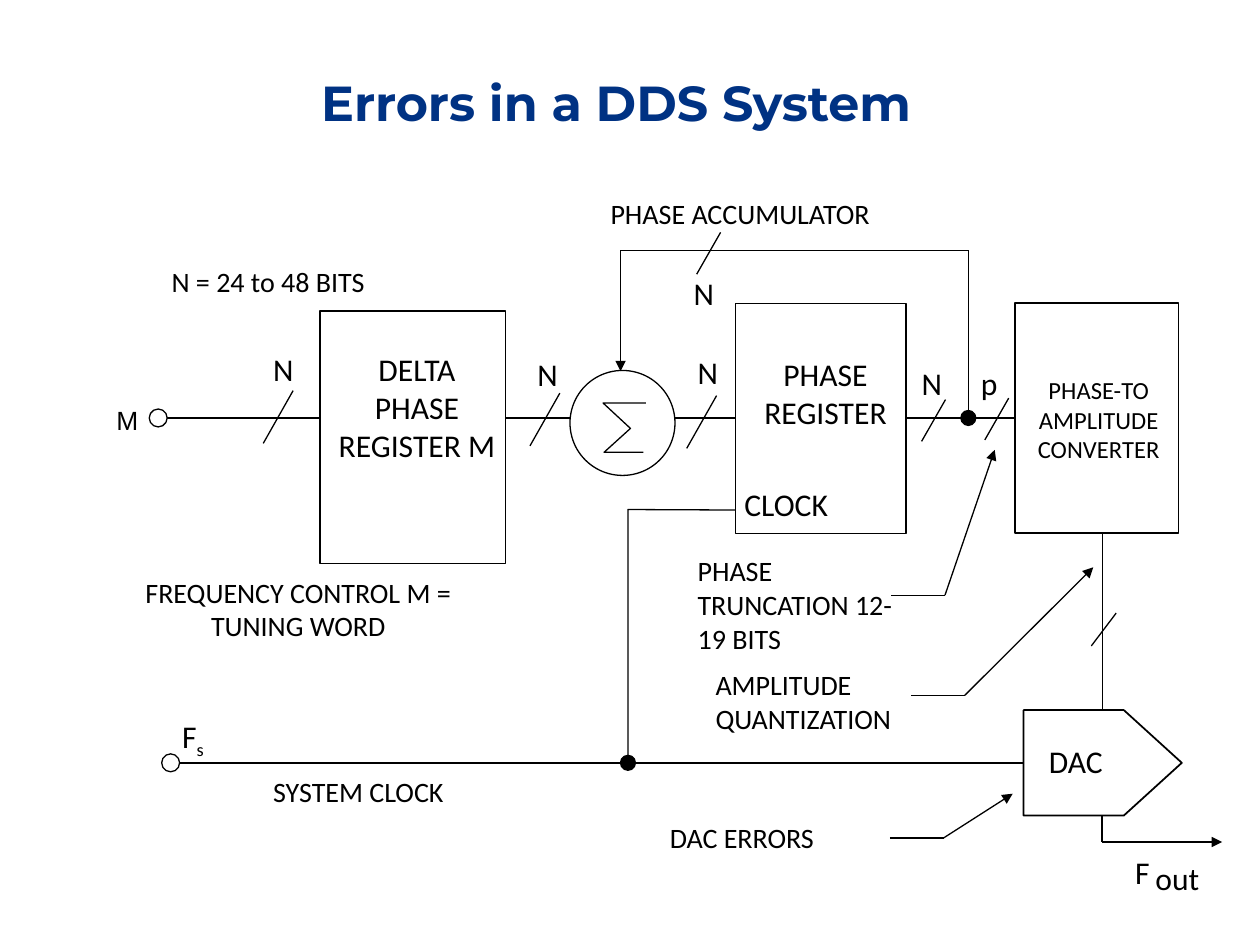
from dataclasses import dataclass

from lxml import etree
from pptx import Presentation
from pptx.dml.color import RGBColor
from pptx.enum.shapes import MSO_CONNECTOR, MSO_SHAPE
from pptx.enum.text import MSO_ANCHOR, MSO_AUTO_SIZE, PP_ALIGN
from pptx.oxml.ns import qn
from pptx.util import Cm, Pt

STRAIGHT = MSO_CONNECTOR.STRAIGHT
RECTANGLE, ELLIPSE, PENTAGON = MSO_SHAPE.RECTANGLE, MSO_SHAPE.OVAL, MSO_SHAPE.PENTAGON
LEFT, CENTER = PP_ALIGN.LEFT, PP_ALIGN.CENTER
TOP = MSO_ANCHOR.TOP
FIT_SHAPE = MSO_AUTO_SIZE.SHAPE_TO_FIT_TEXT
LEFT_SIDE = 1
TITLE_ONLY = 5


@dataclass(frozen=True)
class Theme:
    title_color: RGBColor = RGBColor(0x00, 0x32, 0x83)
    ink: RGBColor = RGBColor(0, 0, 0)
    paper: RGBColor = RGBColor(255, 255, 255)
    title_font: str = "Montserrat"
    body_font: str = "Calibri"
    input_font: str = "Arial"
    title_size: int = 28
    symbol_size: int = 18
    note_size: int = 16
    input_size: int = 15
    small_size: int = 14
    thin: float = 0.75
    medium: float = 1


class Diagram:
    """Draws block diagram elements; all lengths are in centimetres."""

    def __init__(self, slide, theme):
        self.slide = slide
        self.theme = theme

    def format_frame(self, frame, wrap):
        frame.margin_left = frame.margin_right = frame.margin_top = frame.margin_bottom = 0
        frame.vertical_anchor = TOP
        frame.word_wrap = wrap
        frame.auto_size = FIT_SHAPE

    def format_paragraph(self, paragraph, font, size, color, align=LEFT, bold=False):
        paragraph.alignment = align
        paragraph.font.name = font
        paragraph.font.size = Pt(size)
        paragraph.font.bold = bold
        paragraph.font.color.rgb = color

    def title(self, text, left, top, width, height):
        shape = self.slide.shapes.title
        shape.left, shape.top, shape.width, shape.height = map(Cm, (left, top, width, height))
        shape.text_frame.text = text
        self.format_frame(shape.text_frame, True)
        self.format_paragraph(shape.text_frame.paragraphs[0], self.theme.title_font,
                              self.theme.title_size, self.theme.title_color, CENTER, True)

    def label(self, text, left, top, width, height, size, align=LEFT, wrap=False, font=None):
        box = self.slide.shapes.add_textbox(*map(Cm, (left, top, width, height)))
        self.format_frame(box.text_frame, wrap)
        box.text_frame.text = text
        for paragraph in box.text_frame.paragraphs:
            self.format_paragraph(paragraph, font or self.theme.body_font, size,
                                  self.theme.ink, align)
        return box

    def block(self, kind, left, top, width, height, fill=None, weight=None):
        shape = self.slide.shapes.add_shape(kind, *map(Cm, (left, top, width, height)))
        shape.shadow.inherit = False
        shape.fill.solid()
        shape.fill.fore_color.rgb = fill or self.theme.paper
        shape.line.color.rgb = self.theme.ink
        shape.line.width = Pt(weight or self.theme.thin)
        return shape

    def circle(self, center_x, center_y, diameter, fill=None):
        return self.block(ELLIPSE, center_x - diameter / 2, center_y - diameter / 2,
                          diameter, diameter, fill)

    def line(self, start, end, arrow=False, weight=None):
        connector = self.slide.shapes.add_connector(STRAIGHT, *map(Cm, (*start, *end)))
        connector.line.color.rgb = self.theme.ink
        connector.line.width = Pt(weight or self.theme.thin)
        if arrow:
            outline = connector.line._get_or_add_ln()
            etree.SubElement(outline, qn("a:tailEnd"), type="triangle", w="med", len="med")
        etree.SubElement(connector._element.spPr, qn("a:effectLst"))
        return connector

    def polyline(self, *points):
        first, *rest = [(Cm(x), Cm(y)) for x, y in points]
        builder = self.slide.shapes.build_freeform(*first)
        builder.add_line_segments(rest, close=False)
        shape = builder.convert_to_shape()
        shape.shadow.inherit = False
        shape.fill.background()
        shape.line.color.rgb = self.theme.ink
        shape.line.width = Pt(self.theme.thin)

    def slash(self, right, top, width, height):
        self.line((right, top), (right - width, top + height))

    def pointer(self, start, tip, run=1.08):
        bend = (start[0] + run, start[1])
        self.line(start, bend)
        self.line(bend, tip, arrow=True)


def main():
    presentation = Presentation()
    presentation.slide_width, presentation.slide_height = Cm(25.32), Cm(18.97)
    slide = presentation.slides.add_slide(presentation.slide_layouts[TITLE_ONLY])
    theme = Theme()
    diagram = Diagram(slide, theme)
    signal_y, clock_y = 8.4, 15.33
    feedback_y, feedback_x, adder_x = 5.03, 19.46, 12.51
    clock_x, output_x, output_y = 12.62, 22.15, 16.92

    diagram.title("Errors in a DDS System", 2.87, 1.45, 19.02, 1.19)

    # Converter stages and the wires that end at them
    converter = diagram.block(RECTANGLE, 20.4, 6.09, 3.28, 4.62)
    dac = diagram.block(PENTAGON, 20.57, 14.27, 3.18, 2.12, weight=theme.medium)
    dac.adjustments[0] = 0.55
    signal_wire = diagram.line((3.18, signal_y), (20.4, signal_y))
    signal_wire.end_connect(converter, LEFT_SIDE)
    clock_wire = diagram.line((3.43, clock_y), (20.57, clock_y))
    clock_wire.end_connect(dac, LEFT_SIDE)
    diagram.line((output_x, 10.71), (output_x, 14.27))
    diagram.line((output_x, 16.39), (output_x, output_y), weight=theme.medium)
    diagram.line((output_x, output_y), (24.56, output_y), arrow=True)

    # Registers, adder and terminals
    diagram.block(RECTANGLE, 14.78, 6.1, 3.43, 4.62)
    diagram.block(RECTANGLE, 6.43, 6.25, 3.73, 5.08)
    diagram.circle(adder_x, 8.5, 2.11)
    diagram.polyline((12.98, 8.1), (12.12, 8.1), (12.67, 8.61), (12.14, 9.09), (12.93, 9.09))
    diagram.circle(3.18, signal_y, 0.36)
    diagram.circle(3.43, clock_y, 0.36)

    # Feedback path and clock branch
    diagram.line((feedback_x, signal_y), (feedback_x, feedback_y))
    diagram.line((adder_x - 0.04, feedback_y), (feedback_x, feedback_y))
    diagram.line((adder_x - 0.04, feedback_y), (adder_x - 0.04, 7.46), arrow=True)
    diagram.polyline((clock_x, clock_y), (clock_x, 10.24), (14.78, 10.25))
    diagram.circle(feedback_x, signal_y, 0.3, theme.ink)
    diagram.circle(clock_x, clock_y, 0.3, theme.ink)

    # Bus width marks
    for right, top in ((5.89, 7.85), (11.25, 7.9), (14.4, 7.95)):
        diagram.slash(right, top, 0.6, 1.06)
    for right, top in ((19, 8.03), (20.27, 8), (14.48, 4.67)):
        diagram.slash(right, top, 0.48, 0.84)
    diagram.slash(22.43, 12.32, 0.5, 0.66)

    # Pointers to the error sources
    diagram.pointer((17.91, 11.96), (19.99, 9.04))
    diagram.pointer((18.31, 13.97), (21.97, 11.4))
    diagram.pointer((17.88, 16.84), (20.35, 15.95))

    # Symbols
    for left, top in ((5.49, 7.04), (10.8, 7.14), (14.02, 7.09), (18.52, 7.32), (13.94, 5.51)):
        diagram.label("N", left, top, 0.41, 0.76, theme.symbol_size)
    for text, left, top, width in (
        ("p", 19.71, 7.32, 0.33),
        ("CLOCK", 14.96, 9.75, 1.7),
        ("DAC", 21.08, 14.91, 1.09),
        ("F", 22.81, 17.15, 0.58),
        ("out", 23.22, 17.27, 0.89),
    ):
        diagram.label(text, left, top, width, 0.76, theme.symbol_size)
    diagram.label("M", 2.34, 8.13, 0.46, 0.64, theme.input_size, font=theme.input_font)
    sampling = diagram.label("F", 3.66, 14.4, 0.46, 0.76, theme.symbol_size)
    subscript = sampling.text_frame.paragraphs[0].add_run()
    subscript.text = "s"
    subscript._r.get_or_add_rPr().set("baseline", "-25000")

    # Block names
    diagram.label("DELTA PHASE REGISTER M", 6.73, 7.04, 3.3, 2.31,
                  theme.symbol_size, CENTER, True)
    diagram.label("PHASE REGISTER", 14.94, 7.14, 3.3, 1.55, theme.symbol_size, CENTER, True)
    diagram.label("PHASE-TO\nAMPLITUDE\nCONVERTER", 20.85, 7.54, 2.46, 1.8,
                  theme.small_size, CENTER)

    # Notes
    for text, left, top, width in (
        ("PHASE ACCUMULATOR", 12.27, 3.94, 5.41),
        ("N = 24 to 48 BITS", 3.45, 5.31, 3.91),
        ("SYSTEM CLOCK", 5.49, 15.57, 3.48),
        ("DAC ERRORS", 13.46, 16.48, 4.34),
    ):
        diagram.label(text, left, top, width, 0.69, theme.note_size)
    diagram.label("FREQUENCY CONTROL M = TUNING WORD", 2.49, 11.56, 7.01, 1.37,
                  theme.note_size, CENTER, True)
    diagram.label("PHASE TRUNCATION 12-19 BITS", 14.02, 11.13, 3.99, 2.06,
                  theme.note_size, wrap=True)
    diagram.label("AMPLITUDE QUANTIZATION", 14.38, 13.41, 4.47, 1.37,
                  theme.note_size, wrap=True)

    presentation.save("out.pptx")


if __name__ == "__main__":
    main()
